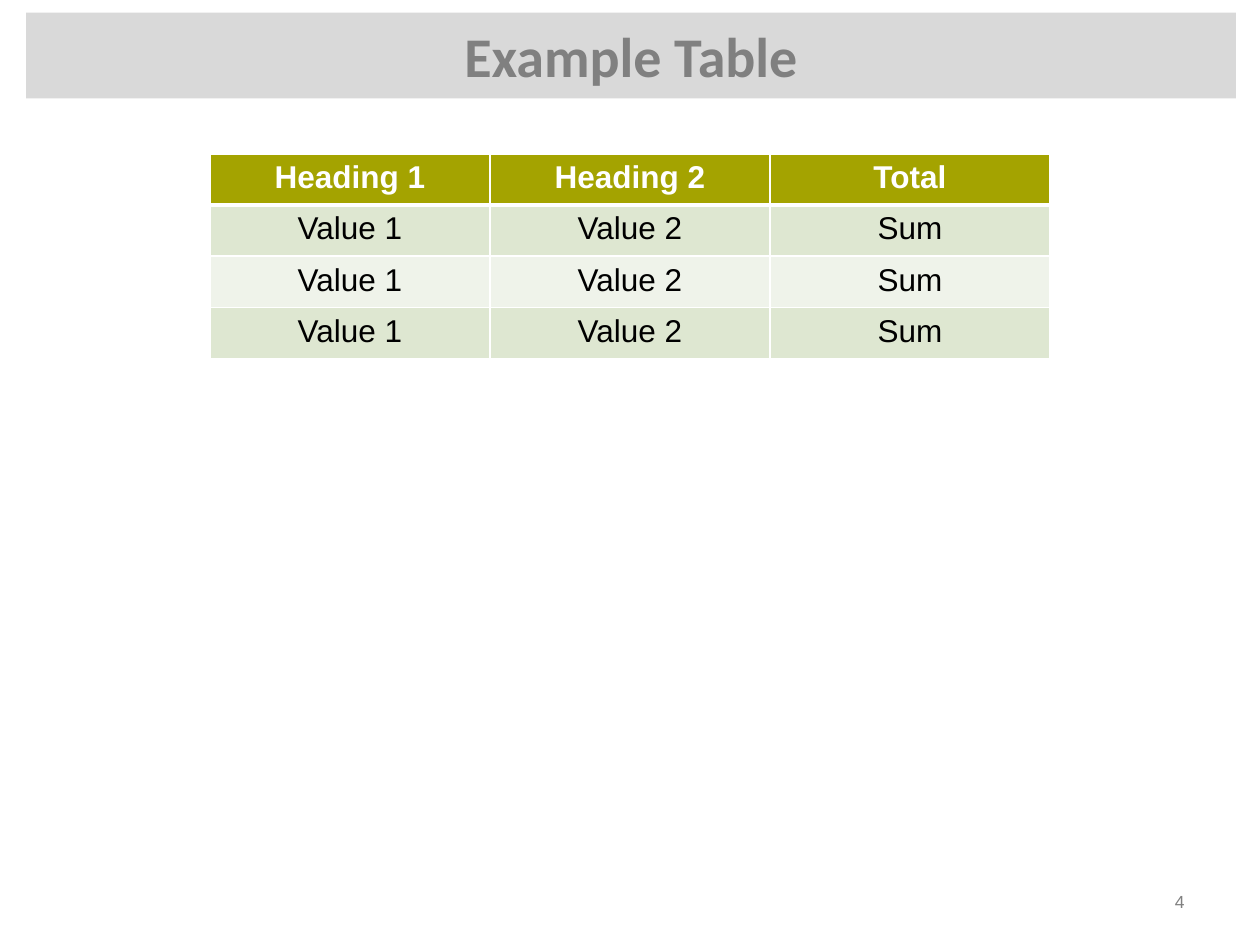
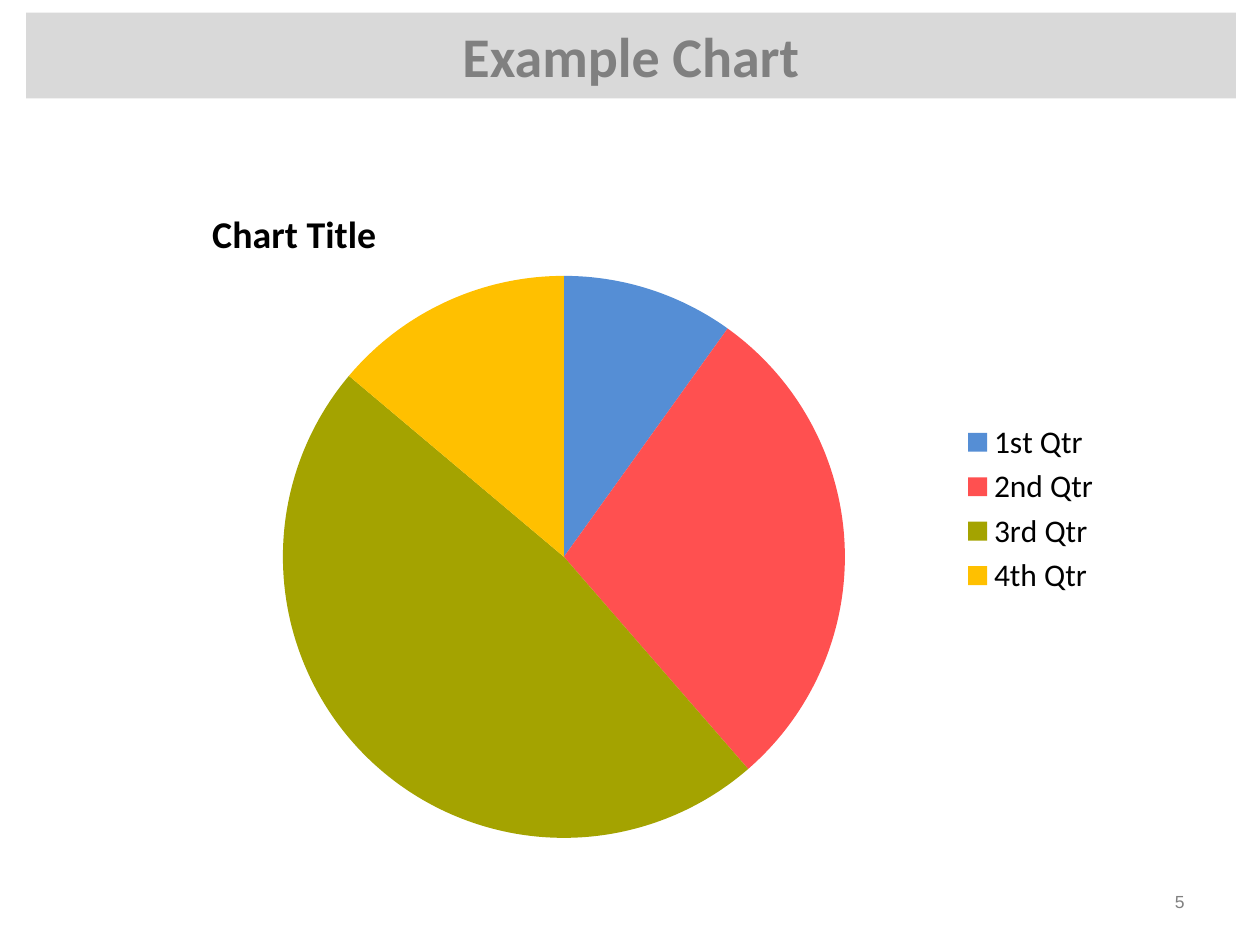
from lxml.etree import SubElement
from pptx import Presentation
from pptx.chart.data import CategoryChartData
from pptx.dml.color import RGBColor
from pptx.enum.chart import XL_CHART_TYPE, XL_LEGEND_POSITION
from pptx.enum.text import MSO_ANCHOR, MSO_AUTO_SIZE, PP_ALIGN
from pptx.oxml import parse_xml
from pptx.oxml.ns import nsdecls, qn
from pptx.util import Pt

WHITE, BLACK, GREY, BAND = "FFFFFF", "000000", "808080", "D9D9D9"
OLIVE, ROW_DARK, ROW_LIGHT = "A4A300", "DEE7D1", "EFF3EA"
SLICES = ["558ED5", "FF5050", OLIVE, "FFC000"]


def color(code):
    return RGBColor.from_string(code)


class SlideBuilder:
    styles = {
        "title": {"name": "Calibri", "size": Pt(32), "bold": True, "color": GREY},
        "number": {"name": "Arial", "size": Pt(10), "bold": False, "color": GREY},
        "heading": {"name": "Arial", "size": Pt(18), "bold": True, "color": WHITE},
        "value": {"name": "Arial", "size": Pt(18), "bold": False, "color": BLACK},
        "chart": {"name": "Calibri", "size": Pt(18), "bold": False, "color": BLACK},
        "chart title": {"name": "Calibri", "size": Pt(21.6), "bold": True, "color": BLACK},
    }

    def __init__(self, deck):
        self.deck = deck
        self.slide = None

    def set_font(self, font, style):
        for key, value in self.styles[style].items():
            if key == "color":
                font.color.rgb = color(value)
            else:
                setattr(font, key, value)

    def add_text(self, frame, text, style, alignment):
        para = frame.paragraphs[0]
        para.alignment = alignment
        span = para.add_run()
        span.text = text
        self.set_font(span.font, style)

    def start(self, title, number):
        self.slide = self.deck.slides.add_slide(self.deck.slide_layouts[5])
        self.slide.background.fill.solid()
        self.slide.background.fill.fore_color.rgb = color(WHITE)
        self.number(number)
        self.title(title)

    def title(self, text):
        band = self.slide.shapes.title
        place = {"left": 15, "top": 7.2, "width": 691.2, "height": 49}
        for key, value in place.items():
            setattr(band, key, Pt(value))
        band.fill.solid()
        band.fill.fore_color.rgb = color(BAND)
        band.text_frame.auto_size = MSO_AUTO_SIZE.NONE
        band.text_frame.vertical_anchor = MSO_ANCHOR.MIDDLE
        self.add_text(band.text_frame, text, "title", PP_ALIGN.CENTER)

    def number(self, number):
        box = self.slide.shapes.add_textbox(Pt(516), Pt(500.5), Pt(168), Pt(28.8))
        box.text_frame.word_wrap = True
        box.text_frame.vertical_anchor = MSO_ANCHOR.MIDDLE
        self.add_text(box.text_frame, str(number), "number", PP_ALIGN.RIGHT)

    def borders(self, cell, widths):
        properties = cell._tc.get_or_add_tcPr()
        for side, width in widths.items():
            line = SubElement(properties, qn(f"a:ln{side}"), w=str(Pt(width)))
            fill = SubElement(line, qn("a:solidFill"))
            SubElement(fill, qn("a:srgbClr"), val=WHITE)

    def table(self, rows, left, top, width, row_height):
        frame = self.slide.shapes.add_table(
            len(rows), len(rows[0]), Pt(left), Pt(top),
            Pt(width), Pt(row_height * len(rows)))
        for row_index, row in enumerate(rows):
            is_heading = row_index == 0
            fill = OLIVE if is_heading else (ROW_LIGHT, ROW_DARK)[row_index % 2]
            widths = {"L": 1, "R": 1, "T": 3 if row_index == 1 else 1,
                      "B": 3 if is_heading else 1}
            for column_index, text in enumerate(row):
                cell = frame.table.cell(row_index, column_index)
                self.borders(cell, widths)
                cell.fill.solid()
                cell.fill.fore_color.rgb = color(fill)
                self.add_text(cell.text_frame, text,
                              "heading" if is_heading else "value", PP_ALIGN.CENTER)

    def layout(self, element, position, target=None):
        modes = {"xMode": "edge", "yMode": "edge"}
        values = ({"layoutTarget": target} if target else {}) | modes | position
        parts = "".join(f'<c:{key} val="{value}"/>' for key, value in values.items())
        for old in element.findall(qn("c:layout")):
            element.remove(old)
        new = parse_xml(f'<c:layout {nsdecls("c")}><c:manualLayout>{parts}'
                        '</c:manualLayout></c:layout>')
        text = element.find(qn("c:tx"))
        element.insert(0 if text is None else 1, new)

    def pie(self, title, quarters, left, top, width, height):
        data = CategoryChartData()
        data.categories = list(quarters)
        data.add_series("Series 1", list(quarters.values()))
        chart = self.slide.shapes.add_chart(
            XL_CHART_TYPE.PIE, Pt(left), Pt(top), Pt(width), Pt(height), data).chart
        self.set_font(chart.font, "chart")
        chart.has_title = True
        self.add_text(chart.chart_title.text_frame, title, "chart title", PP_ALIGN.LEFT)
        chart.chart_title.include_in_layout = False
        chart.has_legend = True
        chart.legend.position = XL_LEGEND_POSITION.RIGHT
        chart.legend.include_in_layout = False
        plot = chart.plots[0]
        plot.vary_by_categories = True
        for index, code in enumerate(SLICES):
            fill = plot.series[0].points[index].format.fill
            fill.solid()
            fill.fore_color.rgb = color(code)
        root = chart._chartSpace.chart
        self.layout(root.find(qn("c:title")), {"x": 0.05, "y": 0.05})
        self.layout(root.plotArea,
                    {"x": 0.13, "y": 0.16, "w": 0.59, "h": 0.82}, "inner")


deck = Presentation()
deck.slide_width, deck.slide_height = Pt(720), Pt(540)
builder = SlideBuilder(deck)

builder.start("Example Table", 4)
builder.table([["Heading 1", "Heading 2", "Total"]] + [["Value 1", "Value 2", "Sum"]] * 3,
              left=120, top=88, width=480, row_height=29.2)

builder.start("Example Chart", 5)
builder.pie("Chart Title", {"1st Qtr": 10, "2nd Qtr": 29, "3rd Qtr": 48, "4th Qtr": 14},
            left=90, top=95, width=546.5, height=391.7)

deck.save("out.pptx")
